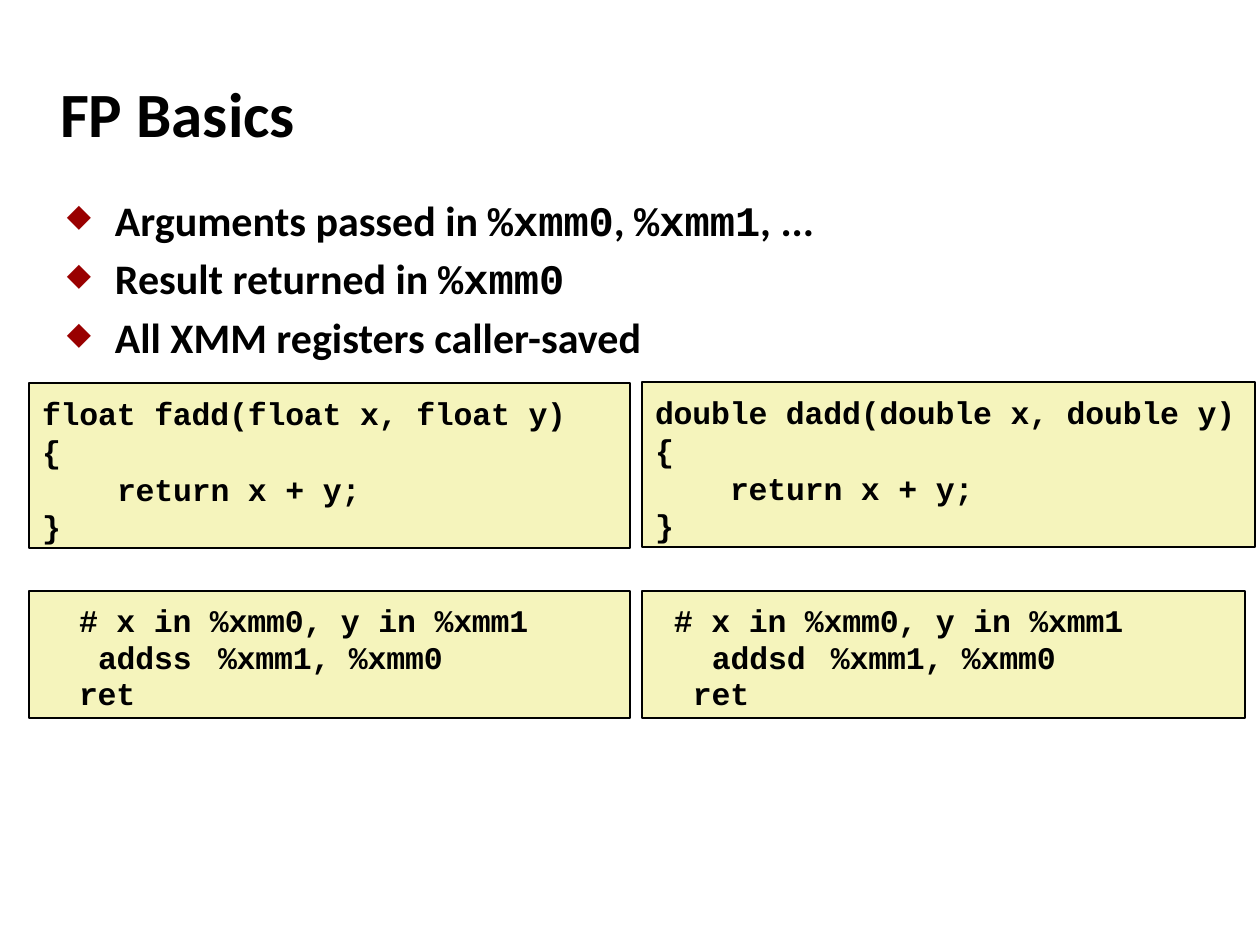
from lxml import etree
from pptx import Presentation
from pptx import util as u
from pptx.dml.color import RGBColor
from pptx.enum import shapes, text
from pptx.oxml.ns import qn

SCALE = 914400 / 126
BLACK = RGBColor(0, 0, 0)
CREAM = RGBColor(0xF5, 0xF4, 0xBC)
BULLET_RED = RGBColor(0x99, 0, 0)


def px(value):
    return u.Emu(round(value * SCALE))


def set_frame(frame, top_inset, wrap):
    frame.margin_left = frame.margin_right = frame.margin_bottom = 0
    frame.margin_top = px(top_inset)
    frame.word_wrap = wrap
    frame.auto_size = text.MSO_AUTO_SIZE.NONE
    frame.vertical_anchor = text.MSO_ANCHOR.TOP


presentation = Presentation()
presentation.slide_width, presentation.slide_height = px(1260), px(945)
slide = presentation.slides.add_slide(presentation.slide_layouts[5])

title = slide.shapes.title
title.left, title.top, title.width, title.height = px(60), px(73), px(238), px(79)
set_frame(title.text_frame, 1, False)
title.text_frame.text = "FP Basics"
paragraph = title.text_frame.paragraphs[0]
paragraph.alignment = text.PP_ALIGN.LEFT
font = paragraph.runs[0].font
font.name, font.size, font.bold = "Calibri", u.Pt(36), True
font.color.rgb = BLACK

bullets = [
    ["Arguments passed in ", "%xmm0", ", ", "%xmm1", ", ..."],
    ["Result returned in ", "%xmm0"],
    ["All XMM registers caller-saved"],
]
bullet_box = slide.shapes.add_textbox(px(66), px(184), px(750), px(180))
frame = bullet_box.text_frame
set_frame(frame, 10, True)
for index, pieces in enumerate(bullets):
    paragraph = frame.paragraphs[0] if index == 0 else frame.add_paragraph()
    properties = paragraph._p.get_or_add_pPr()
    properties.set("marL", str(px(49)))
    properties.set("indent", str(-px(48)))
    color = etree.SubElement(properties, qn("a:buClr"))
    etree.SubElement(color, qn("a:srgbClr"), val=str(BULLET_RED))
    etree.SubElement(properties, qn("a:buSzPct"), val="75000")
    etree.SubElement(properties, qn("a:buChar"), char="◆")
    if index:
        paragraph.space_before = u.Pt(4.8)
    for piece in pieces:
        run = paragraph.add_run()
        run.text = piece
        run.font.name = "Courier New" if piece.startswith("%") else "Calibri"
        run.font.size, run.font.bold = u.Pt(24), True
        run.font.color.rgb = BLACK

code_boxes = [
    (29, 383, 601, 165, 21.6, 0,
     [(13, "float fadd(float x, float y)"), (13, "{"), (88, "return x + y;"), (13, "}")]),
    (642, 382, 613, 165, 21.6, 0,
     [(13, "double dadd(double x, double y)"), (13, "{"), (88, "return x + y;"), (13, "}")]),
    (29, 591, 601, 127, 21, 252,
     [(50, "# x in %xmm0, y in %xmm1"), (69, "addss\t%xmm1, %xmm0"), (50, "ret")]),
    (642, 591, 603, 127, 21, 177,
     [(32, "# x in %xmm0, y in %xmm1"), (70, "addsd\t%xmm1, %xmm0"), (51, "ret")]),
]
for left, top, width, height, spacing, tab, lines in code_boxes:
    box = slide.shapes.add_shape(
        shapes.MSO_SHAPE.RECTANGLE, px(left), px(top), px(width), px(height))
    box.shadow.inherit = False
    box.fill.solid()
    box.fill.fore_color.rgb = CREAM
    box.line.color.rgb = BLACK
    box.line.width = u.Pt(1)
    frame = box.text_frame
    set_frame(frame, 11, True)
    for index, (indent, line) in enumerate(lines):
        paragraph = frame.paragraphs[0] if index == 0 else frame.add_paragraph()
        paragraph.text = line
        paragraph.alignment = text.PP_ALIGN.LEFT
        properties = paragraph._p.get_or_add_pPr()
        properties.set("marL", "0")
        properties.set("indent", str(px(indent)))
        if "\t" in line:
            tabs = etree.SubElement(properties, qn("a:tabLst"))
            etree.SubElement(tabs, qn("a:tab"), pos=str(px(tab)), algn="l")
        paragraph.line_spacing = u.Pt(spacing)
        for run in paragraph.runs:
            run.font.name, run.font.size, run.font.bold = "Courier New", u.Pt(18), True
            run.font.color.rgb = BLACK
            run._r.get_or_add_rPr().set("spc", "-10")

presentation.save("out.pptx")
